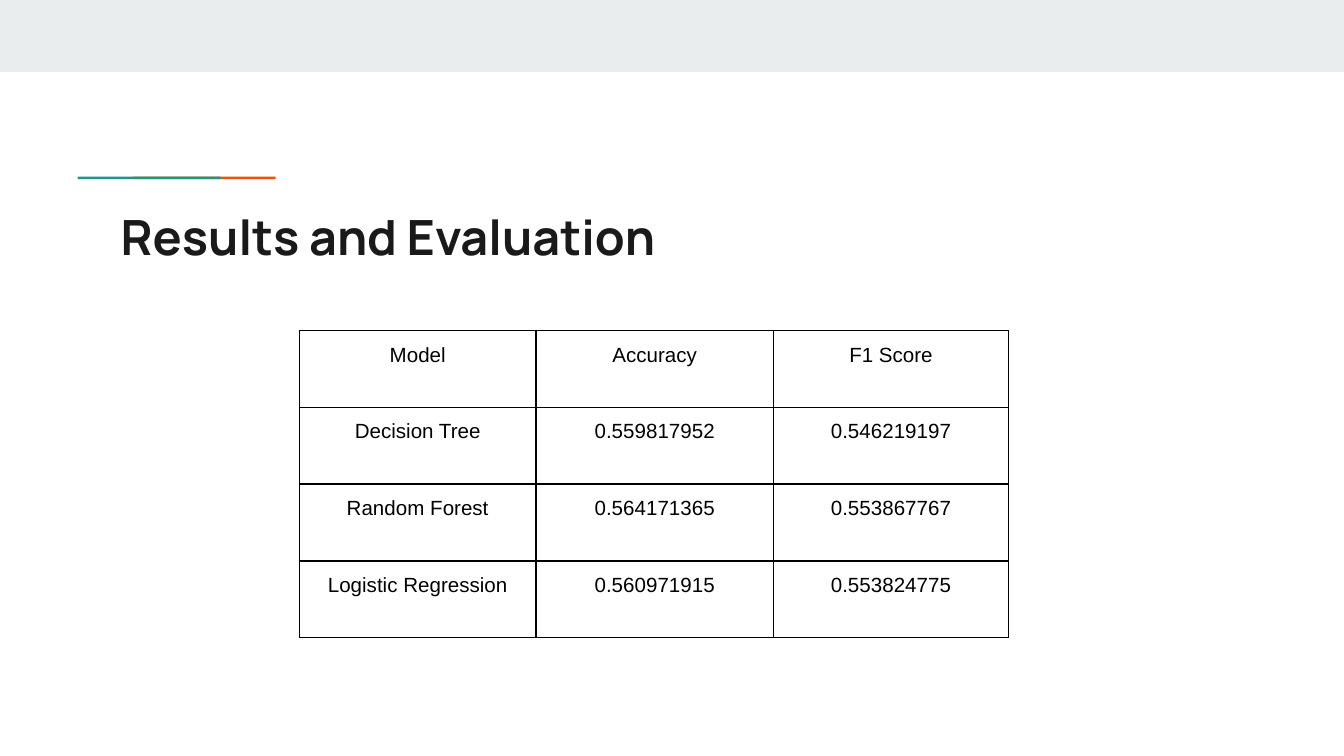
from lxml import etree
from pptx import Presentation
from pptx import util as u
from pptx.dml.color import RGBColor
from pptx.enum import shapes, text
from pptx.oxml.ns import qn

TITLE = "Results and Evaluation"
ROWS = [
    ("Model", "Accuracy", "F1 Score"),
    ("Decision Tree", "0.559817952", "0.546219197"),
    ("Random Forest", "0.564171365", "0.553867767"),
    ("Logistic Regression", "0.560971915", "0.553824775"),
]
THEME = {
    "band": "E9EDEE", "teal": "1A9988", "orange": "EB5600",
    "ink": "1A1A1A", "black": "000000", "white": "FFFFFF",
    "title_font": "Manrope", "body_font": "Arial",
    "title_size": 26, "body_size": 11, "border": 1,
}
WIDTH, HEIGHT = 25.4, 14.29
BARS = [
    ("band", 0, 0, WIDTH, 1.36),
    ("orange", 2.51, 3.34, 2.7, 0.05),
    ("teal", 1.47, 3.34, 2.7, 0.05),
]
TABLE_LEFT, TABLE_TOP = 5.66, 6.25
COL_WIDTHS, ROW_HEIGHT = (4.47, 4.49, 4.44), 1.45


def color(name):
    return RGBColor.from_string(THEME[name])


def style_text(p, font, size, ink, bold=False):
    for r in p.runs:
        r.font.name = THEME[font]
        r.font.size = u.Pt(THEME[size])
        r.font.color.rgb = color(ink)
        r.font.bold = bold


def set_margins(item, margin):
    item.margin_left = item.margin_right = u.Cm(margin)
    item.margin_top = item.margin_bottom = u.Cm(margin)


def add_bar(s, fill, *box):
    sp = s.shapes.add_shape(shapes.MSO_SHAPE.RECTANGLE, *map(u.Cm, box))
    sp.shadow.inherit = False
    sp.fill.solid()
    sp.fill.fore_color.rgb = color(fill)
    sp.line.fill.background()


def add_title(s):
    sp = s.shapes.title
    sp.left, sp.top, sp.width, sp.height = map(u.Cm, (2.03, 3.66, 21.36, 1.5))
    tf = sp.text_frame
    tf.text = TITLE
    tf.word_wrap = True
    tf.auto_size = text.MSO_AUTO_SIZE.NONE
    tf.vertical_anchor = text.MSO_ANCHOR.TOP
    set_margins(tf, 0.25)
    p = tf.paragraphs[0]
    p.alignment = text.PP_ALIGN.LEFT
    style_text(p, "title_font", "title_size", "ink", True)


def border_cell(cell):
    props = cell._tc.get_or_add_tcPr()
    for i, side in enumerate(("lnL", "lnR", "lnT", "lnB")):
        ln = etree.Element(qn("a:" + side), w=str(u.Pt(THEME["border"])))
        fill = etree.SubElement(ln, qn("a:solidFill"))
        etree.SubElement(fill, qn("a:srgbClr"), val=THEME["black"])
        props.insert(i, ln)


def add_results(s):
    n_rows, n_cols = len(ROWS), len(COL_WIDTHS)
    box = (TABLE_LEFT, TABLE_TOP, sum(COL_WIDTHS), n_rows * ROW_HEIGHT)
    table = s.shapes.add_table(n_rows, n_cols, *map(u.Cm, box)).table
    table.first_row = table.horz_banding = False
    for col, width in zip(table.columns, COL_WIDTHS):
        col.width = u.Cm(width)
    for row, values in zip(table.rows, ROWS):
        row.height = u.Cm(ROW_HEIGHT)
        for cell, value in zip(row.cells, values):
            cell.text_frame.text = value
            cell.vertical_anchor = text.MSO_ANCHOR.TOP
            set_margins(cell, 0.18)
            cell.fill.solid()
            cell.fill.fore_color.rgb = color("white")
            border_cell(cell)
            p = cell.text_frame.paragraphs[0]
            p.alignment = text.PP_ALIGN.CENTER
            p.line_spacing = 1.15
            style_text(p, "body_font", "body_size", "black")


def main():
    prs = Presentation()
    prs.slide_width, prs.slide_height = u.Cm(WIDTH), u.Cm(HEIGHT)
    s = prs.slides.add_slide(prs.slide_layouts[5])
    for bar in BARS:
        add_bar(s, *bar)
    add_title(s)
    add_results(s)
    prs.save("out.pptx")


if __name__ == "__main__":
    main()
